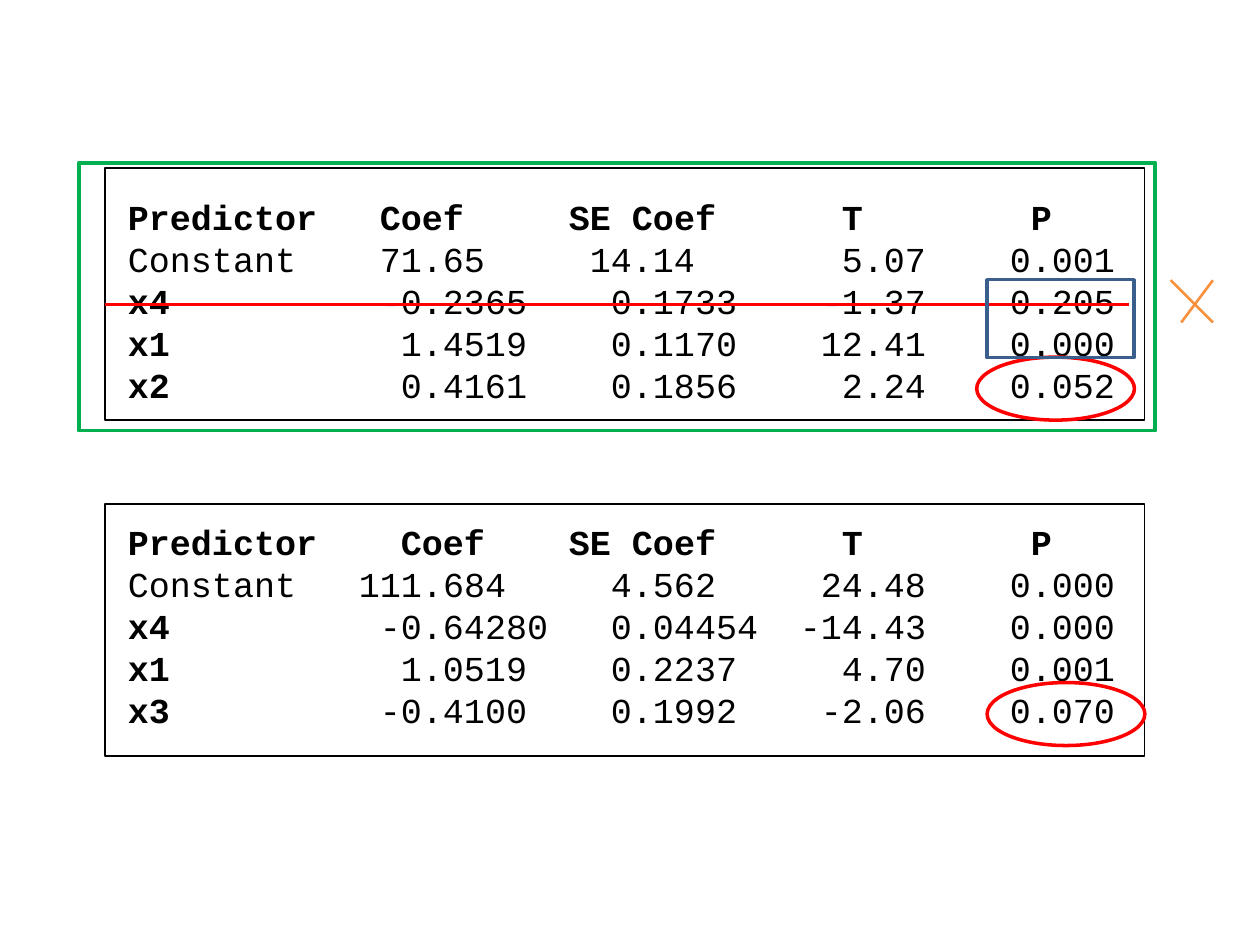
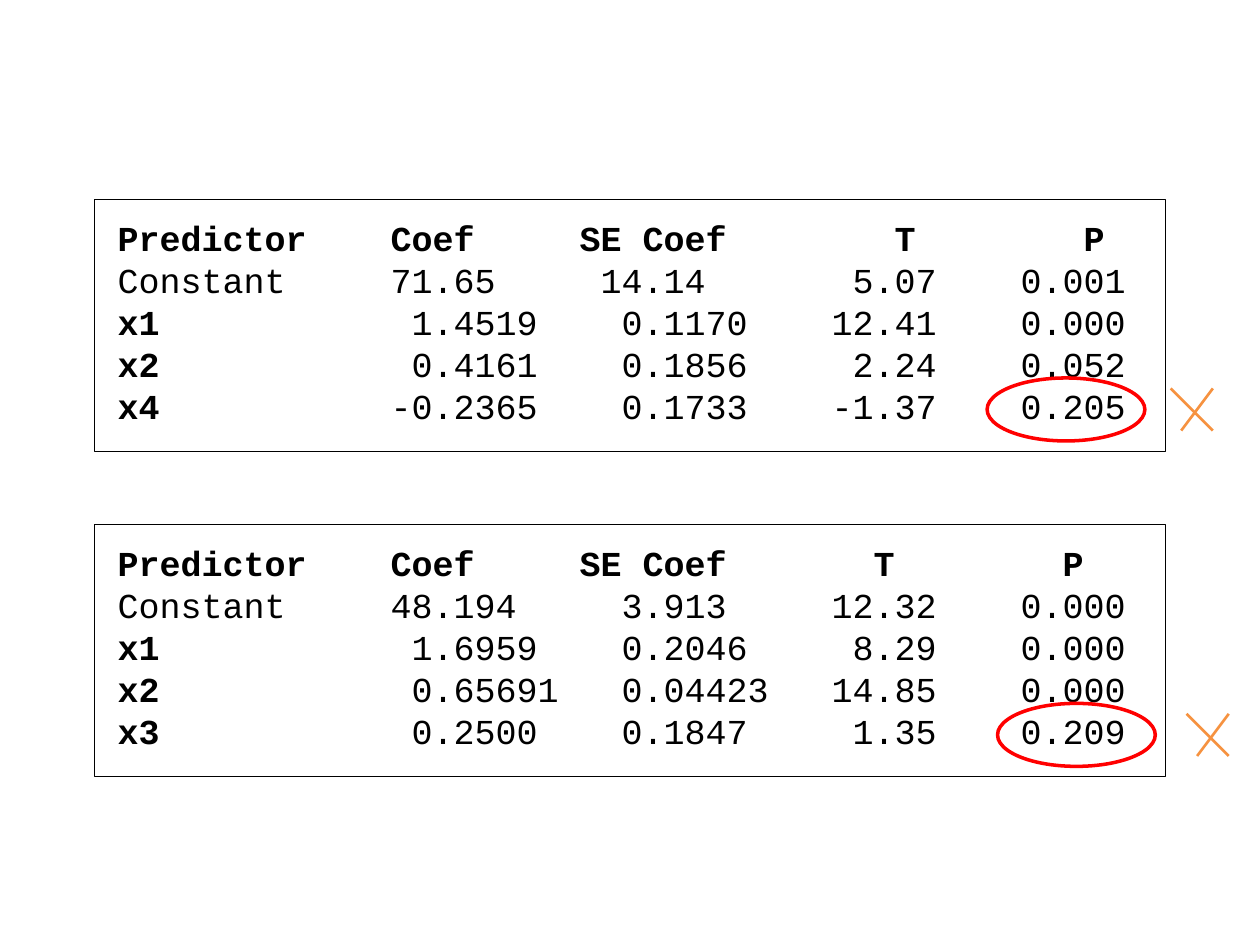
from lxml.etree import SubElement
from pptx import Presentation
from pptx.dml.color import RGBColor
from pptx.enum.shapes import MSO_CONNECTOR, MSO_SHAPE
from pptx.enum.text import MSO_AUTO_SIZE
from pptx.oxml.ns import qn
from pptx.util import Cm, Pt

BLACK = RGBColor(0x00, 0x00, 0x00)
RED = RGBColor(0xFF, 0x00, 0x00)
GREEN = RGBColor(0x00, 0xB0, 0x50)
BLUE = RGBColor(0x3A, 0x5F, 0x8C)
ORANGE = RGBColor(0xF6, 0x92, 0x40)

FONT = "Courier New"
FONT_SIZE = 20
CHAR_CM = FONT_SIZE * 0.6 * 2.54 / 72  # width of one monospaced character
FRAME_HEIGHT = 5.08
HEADINGS = ["Predictor", "Coef", "SE Coef", "T", "P"]


def outline(slide, preset, left, top, width, height, color, weight):
    shape = slide.shapes.add_shape(preset, Cm(left), Cm(top), Cm(width), Cm(height))
    shape.shadow.inherit = False
    shape.fill.background()
    shape.line.color.rgb = color
    shape.line.width = Pt(weight)


def line(shapes, start, end, color):
    stroke = shapes.add_connector(
        MSO_CONNECTOR.STRAIGHT, *(Cm(value) for value in (*start, *end)))
    stroke.line.color.rgb = color
    stroke.line.width = Pt(1.5)
    SubElement(stroke._element.spPr, qn("a:effectLst"))


def cross(slide, left, top, size=0.85):
    strokes = slide.shapes.add_group_shape().shapes
    line(strokes, (left, top), (left + size, top + size), ORANGE)
    line(strokes, (left + size, top), (left + size / 4, top + size), ORANGE)


def add_row(paragraph, cells, starts, heading=False):
    """Write one row, each value beginning at its character column."""
    tabs = SubElement(paragraph._p.get_or_add_pPr(), qn("a:tabLst"))
    for start in starts:
        SubElement(tabs, qn("a:tab"), pos=str(Cm(start * CHAR_CM)), algn="l")
    label, *values = cells
    parts = [(label, label != "Constant"),
             ("".join("\t" + value for value in values), heading)]
    for text, bold in parts:
        run = paragraph.add_run()
        run.text = text
        run.font.name = FONT
        run.font.size = Pt(FONT_SIZE)
        run.font.bold = bold
        run.font.color.rgb = BLACK


def regression_output(slide, left, top, width, heading_starts, points, rows,
                      ring, text_drop=0.21):
    """Framed coefficients; points are the columns of the decimal points."""
    box = slide.shapes.add_textbox(Cm(left + 0.21), Cm(top + text_drop),
                                   Cm(width - 0.21), Cm(4.5))
    frame = box.text_frame
    frame.word_wrap = True
    frame.auto_size = MSO_AUTO_SIZE.SHAPE_TO_FIT_TEXT
    add_row(frame.paragraphs[0], HEADINGS, heading_starts, heading=True)
    for row in rows:
        cells = row.split()
        starts = [point - value.index(".") for point, value in zip(points, cells[1:])]
        add_row(frame.add_paragraph(), cells, starts)

    outline(slide, MSO_SHAPE.RECTANGLE, left, top, width, FRAME_HEIGHT, BLACK, 0.75)
    # Ring around the last P value
    ring_left, ring_top = ring
    outline(slide, MSO_SHAPE.OVAL, left + ring_left, top + ring_top, 3.18, 1.27, RED, 2)


def chosen_model_slide(slide):
    left, top, width = 2.12, 3.39, 20.96
    points = (14, 24, 35, 43)
    regression_output(slide, left, top, width, (12, 21, 34, 43), points, [
        "Constant 71.65 14.14 5.07 0.001",
        "x4 -0.2365 0.1733 -1.37 0.205",
        "x1 1.4519 0.1170 12.41 0.000",
        "x2 0.4161 0.1856 2.24 0.052",
    ], ring=(17.57, 3.81), text_drop=0.42)
    regression_output(slide, left, 10.16, width, (13, 21, 34, 43), points, [
        "Constant 111.684 4.562 24.48 0.000",
        "x4 -0.64280 0.04454 -14.43 0.000",
        "x1 1.0519 0.2237 4.70 0.001",
        "x3 -0.4100 0.1992 -2.06 0.070",
    ], ring=(17.78, 3.6))

    # Chosen model, dropped predictor and its P values
    outline(slide, MSO_SHAPE.RECTANGLE, left - 0.53, top - 0.11, 21.7, 5.4, GREEN, 2.25)
    cross(slide, left + 21.48, top + 2.26)
    line(slide.shapes, (left, top + 2.75), (left + 20.64, top + 2.75), RED)
    outline(slide, MSO_SHAPE.RECTANGLE, left + 17.78, top + 2.25, 2.96, 1.57, BLUE, 2)


def rejected_models_slide(slide):
    left, width = 1.91, 21.59
    points = (15, 25, 36, 44)
    models = [
        (4.02, (13, 22, 37, 46), 17.99, 21.69, [
            "Constant 71.65 14.14 5.07 0.001",
            "x1 1.4519 0.1170 12.41 0.000",
            "x2 0.4161 0.1856 2.24 0.052",
            "x4 -0.2365 0.1733 -1.37 0.205",
        ]),
        (10.58, (13, 22, 36, 45), 18.2, 22.01, [
            "Constant 48.194 3.913 12.32 0.000",
            "x1 1.6959 0.2046 8.29 0.000",
            "x2 0.65691 0.04423 14.85 0.000",
            "x3 0.2500 0.1847 1.35 0.209",
        ]),
    ]
    for top, heading_starts, ring_left, cross_left, rows in models:
        regression_output(slide, left, top, width, heading_starts, points, rows,
                          ring=(ring_left, 3.6))
        cross(slide, left + cross_left, top + 3.81)


def main():
    deck = Presentation()
    deck.slide_width, deck.slide_height = Cm(25.4), Cm(19.05)
    blank = deck.slide_layouts[6]
    for build in (chosen_model_slide, rejected_models_slide):
        build(deck.slides.add_slide(blank))
    deck.save("out.pptx")


if __name__ == "__main__":
    main()
